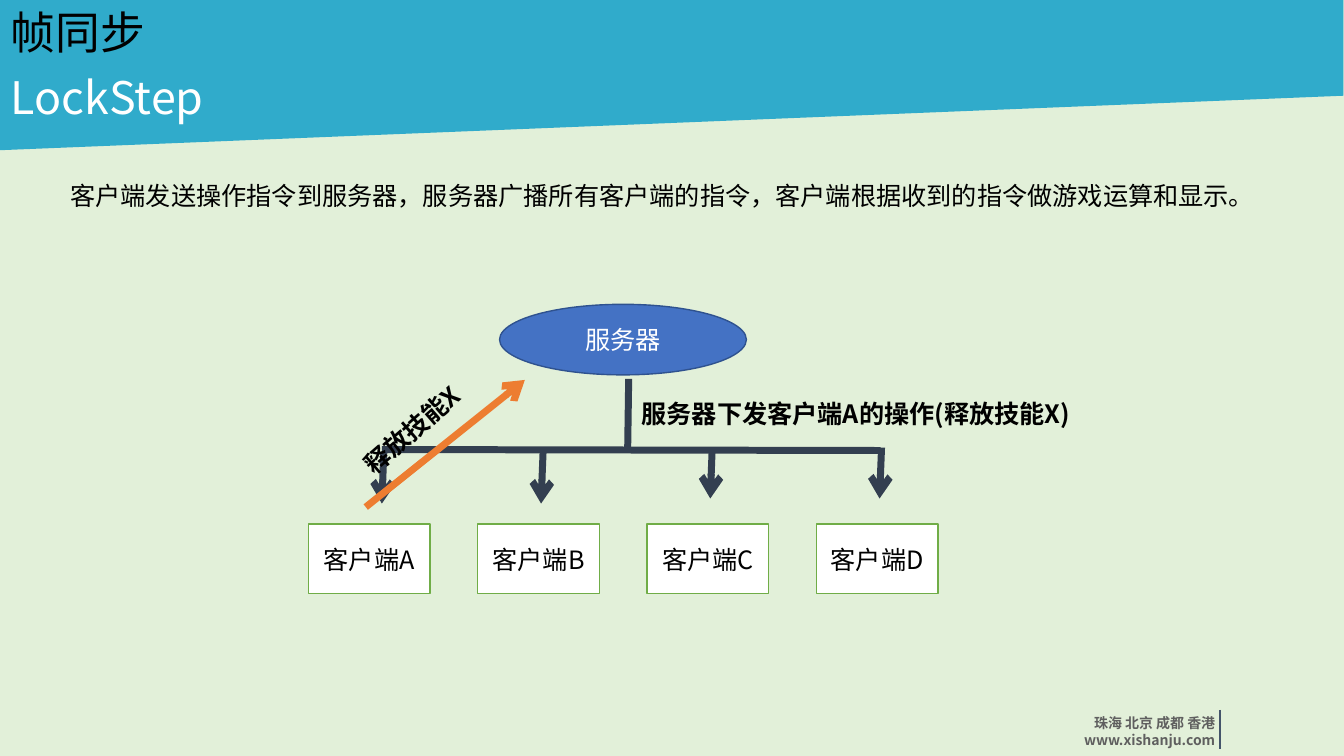
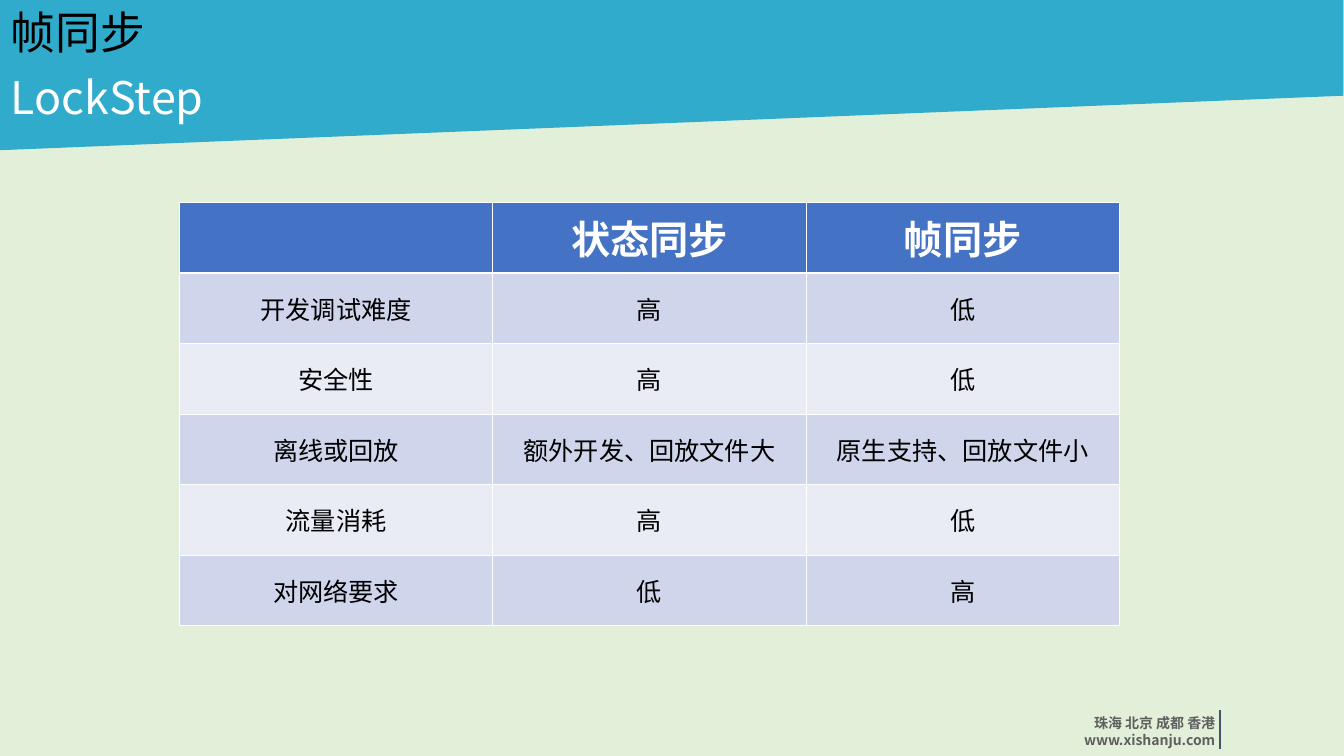
"""Build two slides that explain lockstep synchronisation."""
from dataclasses import dataclass

from lxml.etree import SubElement
from pptx import Presentation
from pptx.dml.color import RGBColor
from pptx.enum.shapes import MSO_CONNECTOR, MSO_SHAPE
from pptx.enum.text import MSO_ANCHOR as Anchor
from pptx.enum.text import MSO_AUTO_SIZE as AutoSize
from pptx.enum.text import PP_ALIGN as Align
from pptx.oxml.ns import qn
from pptx.shapes.autoshape import Shape
from pptx.slide import Slide
from pptx.table import _Cell as Cell
from pptx.text.text import TextFrame
from pptx.util import Pt


@dataclass(frozen=True)
class Theme:
    font: str = "Noto Sans CJK SC"
    background: str = "E2F0D9"
    band: str = "30ABCB"
    black: str = "000000"
    white: str = "FFFFFF"
    footer: str = "5F5F5F"
    footer_rule: str = "44546A"
    blue: str = "4472C4"
    blue_edge: str = "2F528F"
    green: str = "70AD47"
    branch: str = "333F50"
    orange: str = "ED7D31"
    row_dark: str = "CFD5EA"
    row_light: str = "E9EBF5"
    title_size: float = 32
    header_size: float = 28
    body_size: float = 18
    footer_size: float = 10


THEME = Theme()
WIDTH, HEIGHT = 960.48, 540


@dataclass(frozen=True)
class Style:
    size: float = THEME.body_size
    color: str = THEME.black
    bold: bool = False
    align: Align = Align.LEFT
    anchor: Anchor = Anchor.TOP


@dataclass(frozen=True)
class Box:
    left: float
    top: float
    width: float
    height: float

    def lengths(self) -> tuple[Pt, Pt, Pt, Pt]:
        return Pt(self.left), Pt(self.top), Pt(self.width), Pt(self.height)


@dataclass(frozen=True)
class Label:
    text: str
    box: Box
    style: Style
    wrap: bool = True
    rotation: float = 0


@dataclass(frozen=True)
class Node:
    text: str
    box: Box
    preset: MSO_SHAPE
    fill: str
    edge: str
    style: Style


@dataclass(frozen=True)
class Line:
    start: tuple[float, float]
    end: tuple[float, float]
    color: str = THEME.branch
    weight: float = 5
    arrow: bool = False


BOLD = Style(bold=True)
CENTERED = Style(align=Align.CENTER, anchor=Anchor.MIDDLE)
CENTERED_WHITE = Style(color=THEME.white, align=Align.CENTER, anchor=Anchor.MIDDLE)
HEADER = Style(THEME.header_size, THEME.white, True, Align.CENTER, Anchor.MIDDLE)
FOOTER = Style(THEME.footer_size, THEME.footer, True, Align.RIGHT)
FOOTER_MIDDLE = Style(THEME.footer_size, THEME.footer, True, Align.RIGHT, Anchor.MIDDLE)

FRAME_LABELS = (
    Label("www.xishanju.com", Box(604.8, 519, 270.7, 19.4), FOOTER),
    Label("珠海 北京 成都 香港", Box(604.1, 507, 271.4, 19.4), FOOTER_MIDDLE),
    Label("帧同步", Box(0.7, 0, 303, 46), Style(THEME.title_size)),
    Label("LockStep", Box(0.7, 46, 338, 46), Style(THEME.title_size, THEME.white)),
)
FOOTER_RULE = Line((872, 507), (872, 535), THEME.footer_rule, 1.5)
BAND_OUTLINE = ((0, 0), (960, 0), (960, 68.4), (0, 107.3))

INTRODUCTION = Label(
    "客户端发送操作指令到服务器，服务器广播所有客户端的指令，客户端根据收到的指令做游戏运算和显示。",
    Box(43.2, 125.3, 848.2, 28.8), Style())
BROADCAST = Label("服务器下发客户端A的操作(释放技能X)",
                  Box(451.4, 280.8, 342.7, 28.8), BOLD, wrap=False)
SKILL = Label("释放技能X", Box(244.8, 290.9, 102.2, 28.8), BOLD, wrap=False, rotation=319)

SERVER = Node("服务器", Box(357, 217.4, 176.4, 50.4), MSO_SHAPE.OVAL,
              THEME.blue, THEME.blue_edge, CENTERED_WHITE)
CLIENT_LEFT, CLIENT_STEP = 220.3, 121
CLIENTS = tuple(
    Node(f"客户端{letter}", Box(CLIENT_LEFT + index * CLIENT_STEP, 374.4, 87.1, 49.7),
         MSO_SHAPE.RECTANGLE, THEME.white, THEME.green, CENTERED)
    for index, letter in enumerate("ABCD"))

TRUNK = Line((449.3, 270.7), (448.6, 319.7))
BRANCH = Line((629.3, 321.8), (272.9, 321.1))
DROPS = tuple(
    Line((x, y), (x - 1.4, y + 36.4), arrow=True)
    for x, y in ((274.3, 323.3), (388.1, 323.3), (509, 319.7), (630, 319.7)))
REQUEST = Line((261.4, 362.2), (375.1, 271.4), THEME.orange, arrow=True)

COMPARISON_BOX = Box(128.2, 144.7, 671.8, 302.4)
COMPARISON = (
    ("", "状态同步", "帧同步"),
    ("开发调试难度", "高", "低"),
    ("安全性", "高", "低"),
    ("离线或回放", "额外开发、回放文件大", "原生支持、回放文件小"),
    ("流量消耗", "高", "低"),
    ("对网络要求", "低", "高"),
)
THIN_BORDER, HEADER_BORDER = 0.45, 1.47


def rgb(color: str) -> RGBColor:
    return RGBColor.from_string(color)


def write(frame: TextFrame, text: str, style: Style) -> None:
    paragraph = frame.paragraphs[0]
    paragraph.alignment = style.align
    if not text:
        return
    run = paragraph.add_run()
    run.text = text
    font = run.font
    font.name = THEME.font
    font.size = Pt(style.size)
    font.bold = style.bold
    font.color.rgb = rgb(style.color)
    SubElement(run._r.get_or_add_rPr(), qn("a:ea"), typeface=THEME.font)


def add_label(slide: Slide, label: Label) -> None:
    shape = slide.shapes.add_textbox(*label.box.lengths())
    shape.rotation = label.rotation
    frame = shape.text_frame
    frame.word_wrap = label.wrap
    frame.auto_size = AutoSize.SHAPE_TO_FIT_TEXT
    frame.vertical_anchor = label.style.anchor
    write(frame, label.text, label.style)


def paint(shape: Shape, color: str) -> None:
    shape.shadow.inherit = False
    shape.fill.solid()
    shape.fill.fore_color.rgb = rgb(color)


def add_node(slide: Slide, node: Node) -> None:
    shape = slide.shapes.add_shape(node.preset, *node.box.lengths())
    paint(shape, node.fill)
    shape.line.color.rgb = rgb(node.edge)
    shape.line.width = Pt(1)
    frame = shape.text_frame
    frame.word_wrap = True
    frame.vertical_anchor = node.style.anchor
    write(frame, node.text, node.style)


def add_line(slide: Slide, line: Line) -> None:
    ends = (Pt(value) for value in (*line.start, *line.end))
    connector = slide.shapes.add_connector(MSO_CONNECTOR.STRAIGHT, *ends)
    connector.line.color.rgb = rgb(line.color)
    connector.line.width = Pt(line.weight)
    if line.arrow:
        SubElement(connector.line._get_or_add_ln(), qn("a:tailEnd"), type="arrow")
    SubElement(connector._element.spPr, qn("a:effectLst"))


def add_band(slide: Slide) -> None:
    start, *corners = [(Pt(x), Pt(y)) for x, y in BAND_OUTLINE]
    builder = slide.shapes.build_freeform(*start)
    builder.add_line_segments(corners, close=True)
    band = builder.convert_to_shape()
    paint(band, THEME.band)
    band.line.fill.background()


def add_framed_slide(presentation: Presentation) -> Slide:
    slide = presentation.slides.add_slide(presentation.slide_layouts[6])
    add_band(slide)
    for label in FRAME_LABELS:
        add_label(slide, label)
    add_line(slide, FOOTER_RULE)
    return slide


def add_border(cell: Cell, side: str, weight: float) -> None:
    properties = cell._tc.get_or_add_tcPr()
    border = SubElement(properties, qn(f"a:ln{side}"), w=str(Pt(weight)))
    fill = SubElement(border, qn("a:solidFill"))
    SubElement(fill, qn("a:srgbClr"), val=THEME.white)


def style_cell(cell: Cell, text: str, row: int) -> None:
    top = HEADER_BORDER if row == 1 else THIN_BORDER
    bottom = HEADER_BORDER if row == 0 else THIN_BORDER
    for side, weight in (("L", THIN_BORDER), ("R", THIN_BORDER), ("T", top), ("B", bottom)):
        add_border(cell, side, weight)
    banding = THEME.row_dark if row % 2 else THEME.row_light
    cell.fill.solid()
    cell.fill.fore_color.rgb = rgb(banding if row else THEME.blue)
    cell.vertical_anchor = Anchor.MIDDLE
    write(cell.text_frame, text, CENTERED if row else HEADER)


def add_comparison(slide: Slide) -> None:
    frame = slide.shapes.add_table(
        len(COMPARISON), len(COMPARISON[0]), *COMPARISON_BOX.lengths())
    table = frame.table
    table.horz_banding = False
    for row, texts in enumerate(COMPARISON):
        for column, text in enumerate(texts):
            style_cell(table.cell(row, column), text, row)


def add_diagram(slide: Slide) -> None:
    add_label(slide, INTRODUCTION)
    for node in (SERVER, *CLIENTS):
        add_node(slide, node)
    for line in (TRUNK, BRANCH, *DROPS):
        add_line(slide, line)
    add_label(slide, BROADCAST)
    add_line(slide, REQUEST)
    add_label(slide, SKILL)


def main() -> None:
    presentation = Presentation()
    presentation.slide_width = Pt(WIDTH)
    presentation.slide_height = Pt(HEIGHT)
    background = presentation.slide_master.background.fill
    background.solid()
    background.fore_color.rgb = rgb(THEME.background)
    for add_content in (add_diagram, add_comparison):
        add_content(add_framed_slide(presentation))
    presentation.save("out.pptx")


if __name__ == "__main__":
    main()
